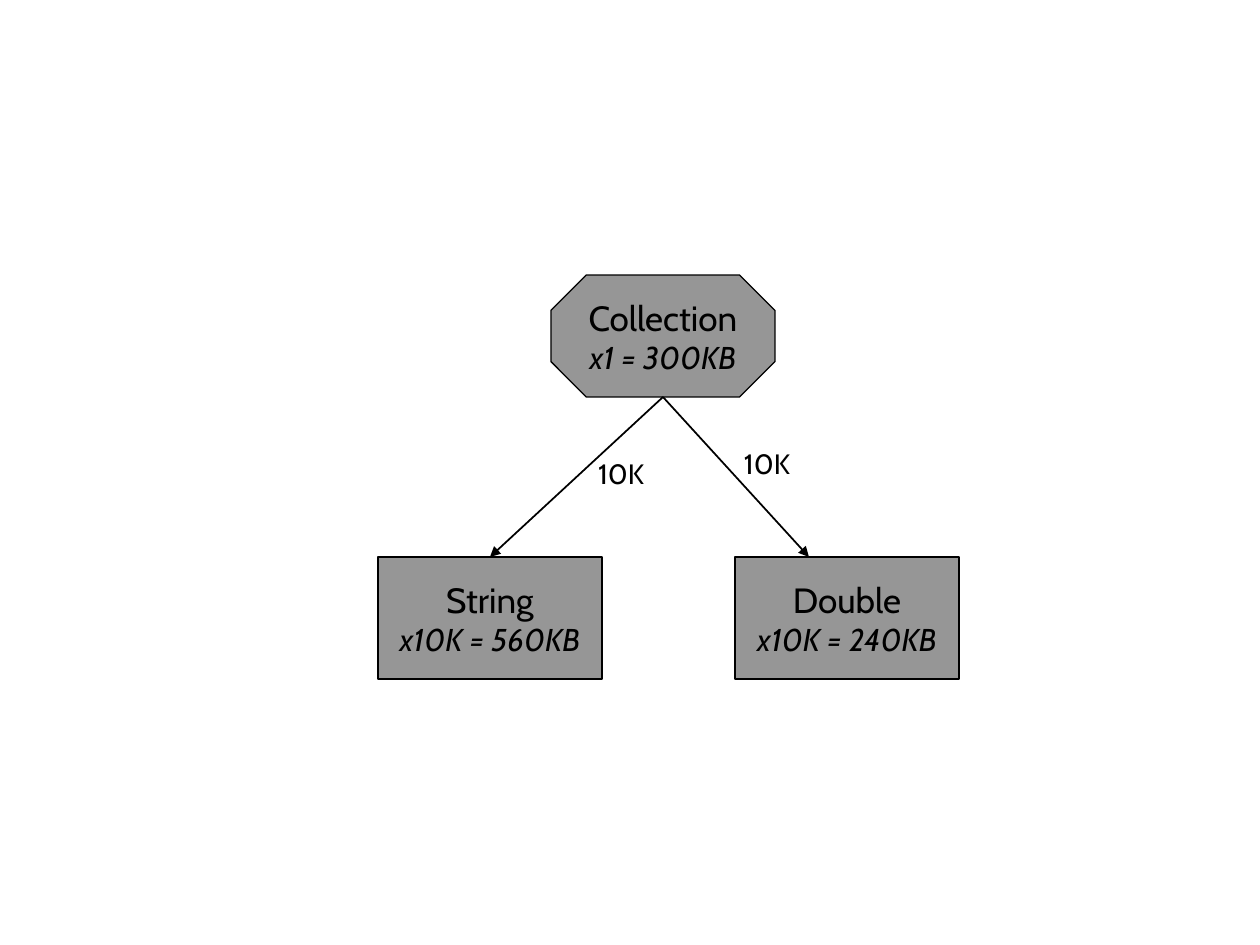
from lxml import etree
from pptx import Presentation
from pptx.dml.color import RGBColor
from pptx.enum.shapes import MSO_CONNECTOR, MSO_SHAPE as Shape
from pptx.enum.text import MSO_ANCHOR, MSO_AUTO_SIZE, PP_ALIGN
from pptx.oxml.ns import qn
from pptx.util import Pt

COLORS = {"node": "969696", "ink": "000000"}
NODE_W, NODE_H = 224, 122
LABEL_W, LABEL_H = 72, 45


def px(count):
    return round(count * 914400 / 126)


def write(shape, lines, align):
    """Fill a shape with one paragraph per (text, size, italic)."""
    frame = shape.text_frame
    frame.word_wrap = False
    frame.vertical_anchor = MSO_ANCHOR.MIDDLE
    frame.margin_left = frame.margin_right = px(11)
    frame.margin_top = frame.margin_bottom = px(5)
    for index, (text, size, italic) in enumerate(lines):
        paragraph = frame.add_paragraph() if index else frame.paragraphs[0]
        paragraph.alignment = align
        run = paragraph.add_run()
        run.text = text
        run.font.name = "Cabin"
        run.font.size = Pt(size)
        run.font.italic = italic
        run.font.color.rgb = RGBColor.from_string(COLORS["ink"])


prs = Presentation()
prs.slide_width, prs.slide_height = px(1260), px(945)
slide = prs.slides.add_slide(prs.slide_layouts[6])

# Objects with their count and memory use
nodes = [
    (Shape.OCTAGON, 551, 275, "Collection", "x1 = 300KB"),
    (Shape.FLOWCHART_PROCESS, 378, 557, "String", "x10K = 560KB"),
    (Shape.FLOWCHART_PROCESS, 735, 557, "Double", "x10K = 240KB"),
]
for kind, left, top, title, memory in nodes:
    node = slide.shapes.add_shape(kind, px(left), px(top), px(NODE_W), px(NODE_H))
    if kind == Shape.OCTAGON:
        node.adjustments[0] = 0.29
    node.shadow.inherit = False
    node.fill.solid()
    node.fill.fore_color.rgb = RGBColor.from_string(COLORS["node"])
    node.line.color.rgb = RGBColor.from_string(COLORS["ink"])
    node.line.width = Pt(0.75)
    write(node, [(title, 20, False), (memory, 18, True)], PP_ALIGN.CENTER)

# References from the collection, each with its count
references = [(490, 587, 451), (809, 733, 441)]
for target_x, label_left, label_top in references:
    arrow = slide.shapes.add_connector(
        MSO_CONNECTOR.STRAIGHT, px(663), px(397), px(target_x), px(557))
    arrow.line.color.rgb = RGBColor.from_string(COLORS["ink"])
    arrow.line.width = Pt(1)
    etree.SubElement(arrow.line._get_or_add_ln(), qn("a:tailEnd"), type="triangle")
    etree.SubElement(arrow._element.spPr, qn("a:effectLst"))

    label = slide.shapes.add_textbox(
        px(label_left), px(label_top), px(LABEL_W), px(LABEL_H))
    write(label, [("10K", 16, False)], PP_ALIGN.LEFT)
    label.text_frame.auto_size = MSO_AUTO_SIZE.SHAPE_TO_FIT_TEXT

prs.save("out.pptx")
